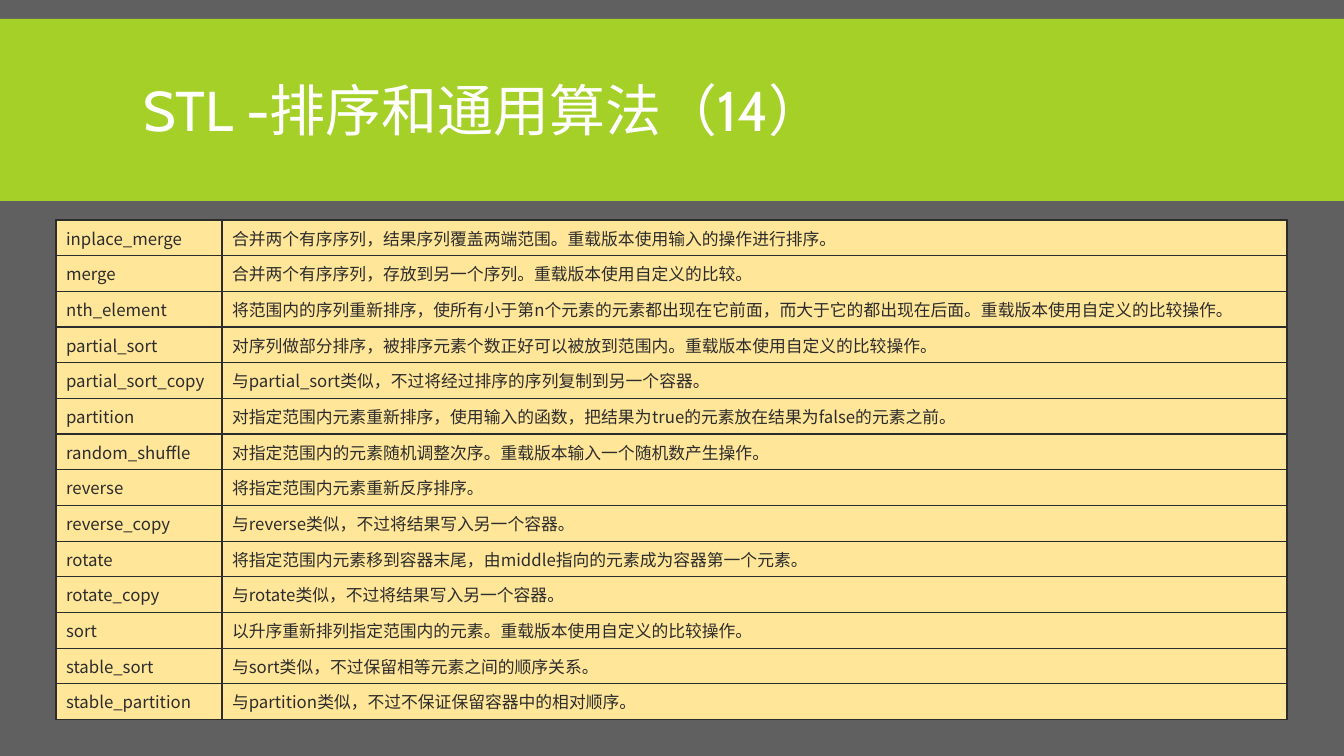
from typing import NamedTuple

from pptx import Presentation
from pptx.dml.color import RGBColor
from pptx.enum.shapes import MSO_SHAPE
from pptx.enum.text import MSO_ANCHOR, MSO_AUTO_SIZE, PP_ALIGN
from pptx.oxml.ns import qn
from pptx.util import Emu, Pt
from lxml import etree

RECT = MSO_SHAPE.RECTANGLE
MIDDLE = MSO_ANCHOR.MIDDLE
LEFT = PP_ALIGN.LEFT
NO_AUTOFIT = MSO_AUTO_SIZE.NONE
TITLE_ONLY = 5

EMU_PER_PX = 914400 / 100.8
GREY, GREEN, CREAM, INK, WHITE = "606060", "A5D028", "FFE699", "2C2C2C", "FFFFFF"
TITLE_FONT, BODY_FONT = "Cabin", "Noto Sans CJK SC"


class Box(NamedTuple):
    left: int
    top: int
    width: int
    height: int


class Algorithm(NamedTuple):
    name: str
    description: str


SLIDE = Box(0, 0, 1344, 756)
BAND = Box(0, 19, 1344, 182)
TITLE = Box(133, 31, 1079, 166)
TABLE = Box(56, 220, 1231, 500)
NAME_WIDTH = 166

ALGORITHMS = [
    Algorithm("inplace_merge", "合并两个有序序列，结果序列覆盖两端范围。重载版本使用输入的操作进行排序。"),
    Algorithm("merge", "合并两个有序序列，存放到另一个序列。重载版本使用自定义的比较。"),
    Algorithm("nth_element", "将范围内的序列重新排序，使所有小于第n个元素的元素都出现在它前面，"
                             "而大于它的都出现在后面。重载版本使用自定义的比较操作。"),
    Algorithm("partial_sort", "对序列做部分排序，被排序元素个数正好可以被放到范围内。重载版本使用自定义的比较操作。"),
    Algorithm("partial_sort_copy", "与partial_sort类似，不过将经过排序的序列复制到另一个容器。"),
    Algorithm("partition", "对指定范围内元素重新排序，使用输入的函数，把结果为true的元素放在结果为false的元素之前。"),
    Algorithm("random_shuffle", "对指定范围内的元素随机调整次序。重载版本输入一个随机数产生操作。"),
    Algorithm("reverse", "将指定范围内元素重新反序排序。"),
    Algorithm("reverse_copy", "与reverse类似，不过将结果写入另一个容器。"),
    Algorithm("rotate", "将指定范围内元素移到容器末尾，由middle指向的元素成为容器第一个元素。"),
    Algorithm("rotate_copy", "与rotate类似，不过将结果写入另一个容器。"),
    Algorithm("sort", "以升序重新排列指定范围内的元素。重载版本使用自定义的比较操作。"),
    Algorithm("stable_sort", "与sort类似，不过保留相等元素之间的顺序关系。"),
    Algorithm("stable_partition", "与partition类似，不过不保证保留容器中的相对顺序。"),
]


def px(length: float) -> Emu:
    return Emu(round(length * EMU_PER_PX))


def place(box: Box) -> list[Emu]:
    return [px(length) for length in box]


def paint(fill, color: str) -> None:
    fill.solid()
    fill.fore_color.rgb = RGBColor.from_string(color)


def write(tf, text: str, *, size: int, font: str, color: str, spacing: float = 1.0) -> None:
    p = tf.paragraphs[0]
    p.alignment = LEFT
    p.line_spacing = spacing
    r = p.add_run()
    r.text = text
    r.font.size = Pt(size)
    r.font.name = font
    r.font.color.rgb = RGBColor.from_string(color)
    east_asian = etree.SubElement(r.font._element, qn("a:ea"))
    east_asian.set("typeface", BODY_FONT)


def add_borders(cell, color: str, width: int) -> None:
    tc_pr = cell._tc.get_or_add_tcPr()
    for side in ("a:lnL", "a:lnR", "a:lnT", "a:lnB"):
        line = etree.SubElement(tc_pr, qn(side), w=str(Pt(width)))
        fill = etree.SubElement(line, qn("a:solidFill"))
        etree.SubElement(fill, qn("a:srgbClr"), val=color)


def add_title(s, text: str) -> None:
    # Green band behind the title
    band = s.shapes.add_shape(RECT, *place(BAND))
    band.shadow.inherit = False
    paint(band.fill, GREEN)
    band.line.fill.background()

    sp = s.shapes.title
    sp.element.addprevious(band.element)
    sp.left, sp.top, sp.width, sp.height = place(TITLE)
    tf = sp.text_frame
    tf.word_wrap = True
    tf.auto_size = NO_AUTOFIT
    tf.vertical_anchor = MIDDLE
    write(tf, text, size=40, font=TITLE_FONT, color=WHITE, spacing=0.85)


def add_algorithm_table(s, algorithms: list[Algorithm]) -> None:
    table = s.shapes.add_table(len(algorithms), 2, *place(TABLE)).table
    table.first_row = table.horz_banding = False
    table.columns[0].width = px(NAME_WIDTH)
    table.columns[1].width = px(TABLE.width - NAME_WIDTH)
    for row, algorithm in zip(table.rows, algorithms):
        row.height = px(TABLE.height / len(algorithms))
        for cell, text in zip(row.cells, algorithm):
            add_borders(cell, INK, 1)
            paint(cell.fill, CREAM)
            cell.vertical_anchor = MIDDLE
            write(cell.text_frame, text, size=12, font=BODY_FONT, color=INK)


def main() -> None:
    prs = Presentation()
    prs.slide_width, prs.slide_height = px(SLIDE.width), px(SLIDE.height)
    s = prs.slides.add_slide(prs.slide_layouts[TITLE_ONLY])
    paint(s.background.fill, GREY)
    add_title(s, "STL -排序和通用算法（14）")
    add_algorithm_table(s, ALGORITHMS)
    prs.save("out.pptx")


if __name__ == "__main__":
    main()
